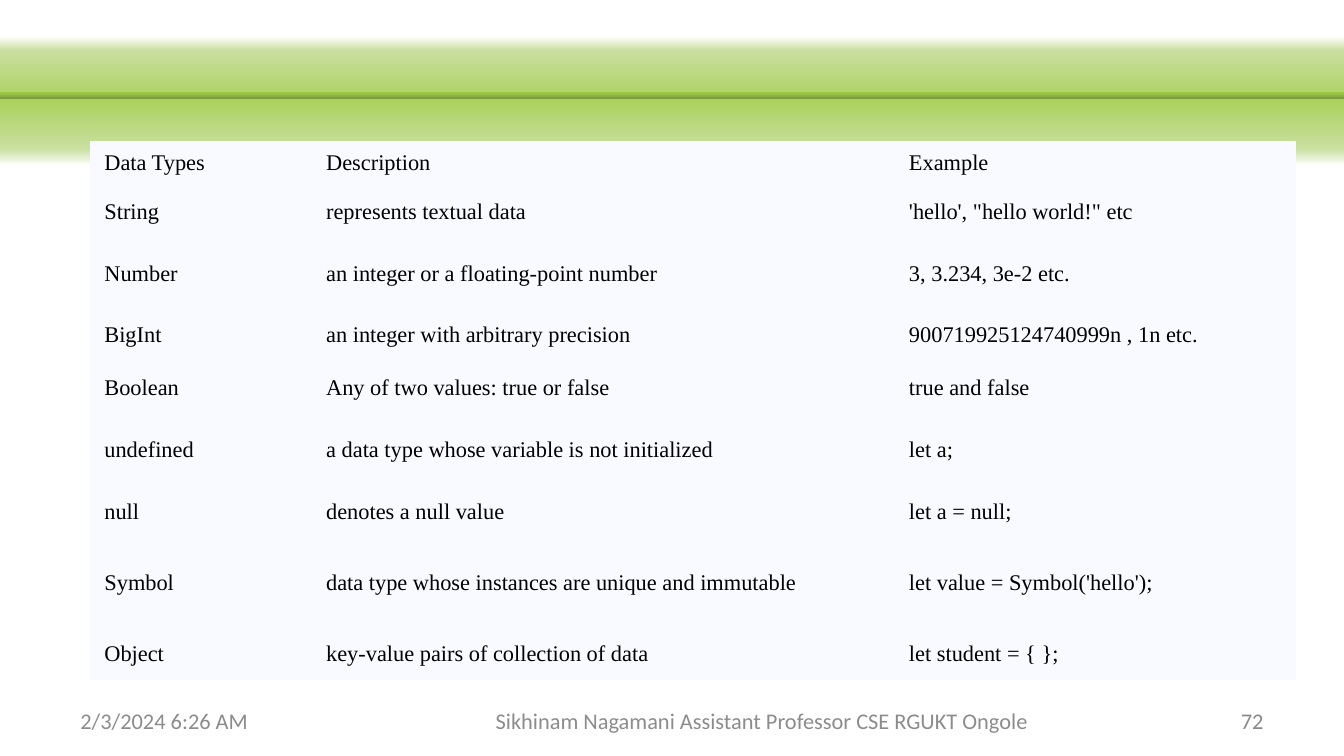
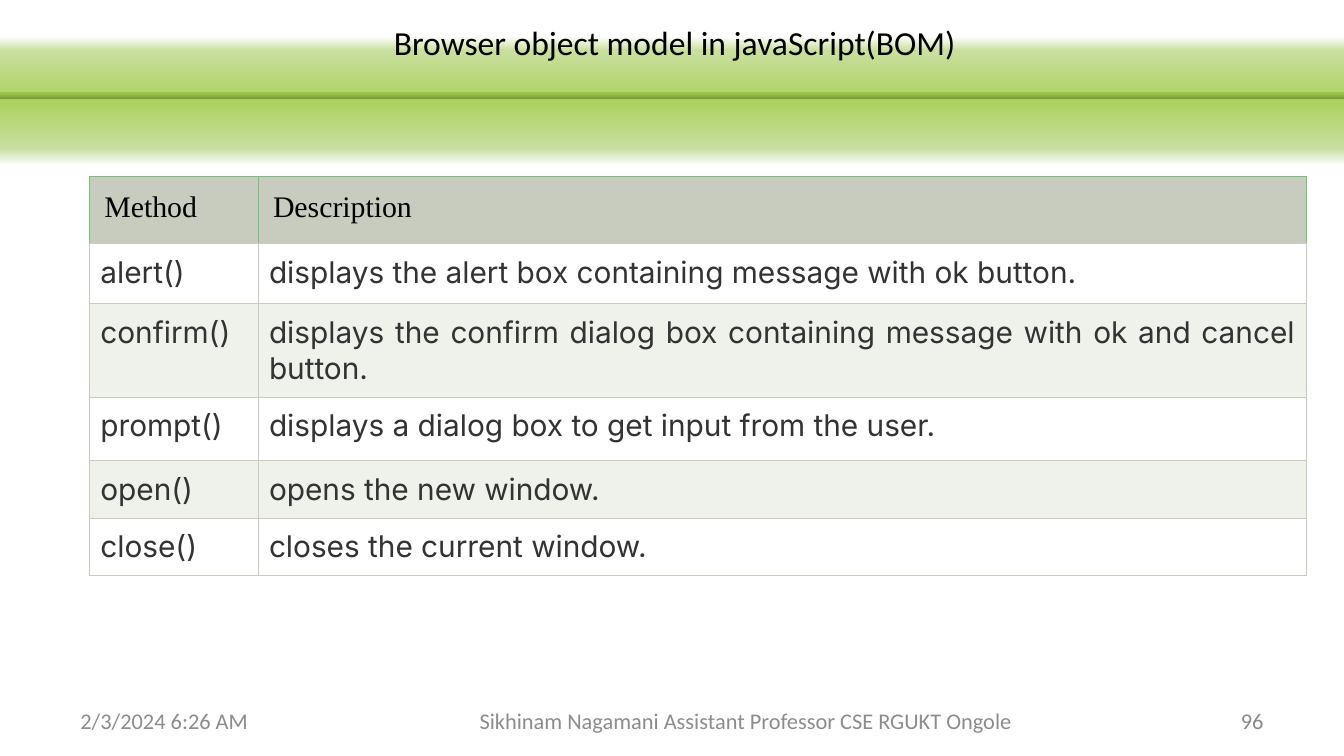
"""Build two JavaScript lecture slides: data types and browser object model methods."""
from dataclasses import dataclass
from typing import Optional

from lxml import etree
from pptx import Presentation
from pptx import util as u
from pptx.dml.color import RGBColor
from pptx.enum import shapes, text
from pptx.oxml import ns

WIDTH = u.Inches(10)
HEIGHT = WIDTH * 9 // 16
TITLE_ONLY, BLANK = 5, 6
NO_TABLE_STYLE = "{2D5ABB26-0587-4C30-8999-92F81FD0307C}"
COLORS = {
    "white": "FFFFFF", "black": "000000", "body": "333333",
    "footer": "8C8C8C", "number": "898989",
    "bar_dark": "779737", "bar_mid": "9BC348", "bar_light": "9DC746",
    "halo_pale": "C9DFA0", "halo_deep": "AED262",
    "data_fill": "F8FAFF", "head_fill": "C7CCBE", "band_fill": "EFF1EB",
    "rule": "C7CCBE", "head_rule": "70C477",
}


@dataclass(frozen=True)
class Area:
    """Position and size in percent of the slide's width and height."""
    left: float
    top: float
    width: float
    height: float

    def emu(self) -> tuple[int, int, int, int]:
        """Return left, top, width and height as lengths."""
        return across(self.left), down(self.top), across(self.width), down(self.height)


@dataclass(frozen=True)
class TextStyle:
    """Font and alignment of a paragraph."""
    font: str
    size: float
    color: str
    align: text.PP_ALIGN = text.PP_ALIGN.LEFT


@dataclass(frozen=True)
class RowStyle:
    """Look of the cells in one table row; borders run left, right, top, bottom."""
    words: TextStyle
    fill: str
    inset_x: float
    inset_y: float
    anchor: text.MSO_ANCHOR
    borders: tuple[str, ...] = ()


@dataclass(frozen=True)
class Grid:
    """A table with its columns and rows in percent of the slide."""
    left: float
    top: float
    columns: tuple[float, ...]
    rows: tuple[float, ...]
    cells: tuple[tuple[str, ...], ...]
    styles: tuple[RowStyle, ...]


@dataclass(frozen=True)
class Lesson:
    """Everything that differs between slides."""
    number: str
    grid: Grid
    footer_width: float
    title: Optional[str] = None


BAR = Area(0, 12.22, 100, 0.89)
HALO = Area(0, 4.8, 100, 17.1)
TITLE = Area(28.3, 1.96, 53.2, 7.11)
FOOT_TOP, FOOT_HEIGHT = 92.68, 5.33
DATE = "2/3/2024 6:26 AM"
LECTURER = "Sikhinam Nagamani Assistant Professor CSE RGUKT Ongole"

TITLE_STYLE = TextStyle("Calibri", 18, "black")
DATE_STYLE = TextStyle("Calibri", 12, "footer")
FOOTER_STYLE = TextStyle("Calibri", 12, "footer", text.PP_ALIGN.CENTER)
NUMBER_STYLE = TextStyle("Calibri", 12, "number", text.PP_ALIGN.RIGHT)
METHOD_STYLE = TextStyle("Inter", 16, "body", text.PP_ALIGN.JUSTIFY)

DATA_ROW = RowStyle(TextStyle("Times New Roman", 12, "black"), "data_fill",
                    0.11, 0.05, text.MSO_ANCHOR.MIDDLE)
HEAD_ROW = RowStyle(TextStyle("Times New Roman", 16, "black"), "head_fill", 0.11, 0.11,
                    text.MSO_ANCHOR.TOP, ("head_rule",) * 3 + ("rule",))
PLAIN_ROW, BAND_ROW = (
    RowStyle(METHOD_STYLE, fill, 0.08, 0.08, text.MSO_ANCHOR.TOP, ("rule",) * 4)
    for fill in ("white", "band_fill")
)

DATA_TYPES = (
    ("Data Types", "Description", "Example"),
    ("String", "represents textual data", "'hello', \"hello world!\" etc"),
    ("Number", "an integer or a floating-point number", "3, 3.234, 3e-2 etc."),
    ("BigInt", "an integer with arbitrary precision", "900719925124740999n , 1n etc."),
    ("Boolean", "Any of two values: true or false", "true and false"),
    ("undefined", "a data type whose variable is not initialized", "let a;"),
    ("null", "denotes a null value", "let a = null;"),
    ("Symbol", "data type whose instances are unique and immutable",
     "let value = Symbol('hello');"),
    ("Object", "key-value pairs of collection of data", "let student = { };"),
)
BOM_METHODS = (
    ("Method", "Description"),
    ("alert()", "displays the alert box containing message with ok button."),
    ("confirm()", "displays the confirm dialog box containing message with ok and cancel button."),
    ("prompt()", "displays a dialog box to get input from the user."),
    ("open()", "opens the new window."),
    ("close()", "closes the current window."),
)
LESSONS = (
    Lesson("72", Grid(6.67, 18.67, (16.5, 43.37, 29.9),
                      (5.87, 6.94, 9.43, 6.94, 6.94, 9.43, 6.94, 11.92, 6.94),
                      DATA_TYPES, (DATA_ROW,) * len(DATA_TYPES)), 45),
    Lesson("96", Grid(6.67, 23.33, (12.55, 78), (8.89, 7.95, 8.36, 8.36, 7.47, 7.47),
                      BOM_METHODS,
                      (HEAD_ROW, PLAIN_ROW, BAND_ROW, PLAIN_ROW, BAND_ROW, PLAIN_ROW)),
           42.6, "Browser object model in javaScript(BOM)"),
)


def across(percent: float) -> int:
    """Turn a share of the slide's width into a length."""
    return round(WIDTH * percent / 100)


def down(percent: float) -> int:
    """Turn a share of the slide's height into a length."""
    return round(HEIGHT * percent / 100)


def add_node(parent, tag: str, **attributes):
    """Append a drawing element to a parent."""
    values = {name: str(value) for name, value in attributes.items()}
    return etree.SubElement(parent, ns.qn(f"a:{tag}"), values)


def write(frame, words: str, style: TextStyle) -> None:
    """Fill a text frame with one styled paragraph."""
    frame.word_wrap = True
    para = frame.paragraphs[0]
    para.text = words
    para.alignment = style.align
    para.font.name = style.font
    para.font.size = u.Pt(style.size)
    para.font.bold = False
    para.font.color.rgb = RGBColor.from_string(COLORS[style.color])


def add_band(page, area: Area, stops: tuple[tuple[float, str], ...], angle: int) -> None:
    """Draw a full-width rectangle with a gradient of several stops."""
    band = page.shapes.add_shape(shapes.MSO_SHAPE.RECTANGLE, *area.emu())
    band.shadow.inherit = False
    band.line.fill.background()
    band.fill.gradient()
    band.fill.gradient_angle = 0
    gradient = band._element.spPr.find(ns.qn("a:gradFill"))
    stop_list = gradient.find(ns.qn("a:gsLst"))
    for old in list(stop_list):
        stop_list.remove(old)
    for position, color in stops:
        stop = add_node(stop_list, "gs", pos=round(position * 1000))
        add_node(stop, "srgbClr", val=COLORS[color])
    gradient.find(ns.qn("a:lin")).set("ang", str(angle * 60000))


def add_header(page) -> None:
    """Draw the soft green halo and the bar across it."""
    add_band(page, HALO, ((0, "white"), (11, "halo_pale"), (48, "halo_deep"),
                          (52, "halo_deep"), (87, "halo_pale"), (100, "white")), 90)
    add_band(page, BAR, ((0, "bar_dark"), (80, "bar_mid"), (100, "bar_light")), 270)


def add_footer(page, lesson: Lesson) -> None:
    """Write the date, lecturer and slide number."""
    for left, width, words, style in (
        (71.7, 23.3, lesson.number, NUMBER_STYLE),
        (5, 23.3, DATE, DATE_STYLE),
        (34.2, lesson.footer_width, LECTURER, FOOTER_STYLE),
    ):
        box = page.shapes.add_textbox(*Area(left, FOOT_TOP, width, FOOT_HEIGHT).emu())
        box.text_frame.vertical_anchor = text.MSO_ANCHOR.MIDDLE
        write(box.text_frame, words, style)


def format_cell(cell, words: str, style: RowStyle) -> None:
    """Write one cell and set its borders, fill and margins."""
    properties = cell._tc.get_or_add_tcPr()
    for side, color in zip("LRTB", style.borders):
        line = add_node(properties, f"ln{side}", w=u.Pt(0.75))
        add_node(add_node(line, "solidFill"), "srgbClr", val=COLORS[color])
    cell.fill.solid()
    cell.fill.fore_color.rgb = RGBColor.from_string(COLORS[style.fill])
    cell.margin_left = cell.margin_right = u.Inches(style.inset_x)
    cell.margin_top = cell.margin_bottom = u.Inches(style.inset_y)
    cell.vertical_anchor = style.anchor
    write(cell.text_frame, words, style.words)


def add_grid(page, grid: Grid) -> None:
    """Draw a table from its grid."""
    area = Area(grid.left, grid.top, sum(grid.columns), sum(grid.rows))
    table = page.shapes.add_table(len(grid.rows), len(grid.columns), *area.emu()).table
    table.first_row = table.horz_banding = False
    table._tbl.tblPr.find(ns.qn("a:tableStyleId")).text = NO_TABLE_STYLE
    for column, width in zip(table.columns, grid.columns):
        column.width = across(width)
    for row, height, words, style in zip(table.rows, grid.rows, grid.cells, grid.styles):
        row.height = down(height)
        for cell, entry in zip(row.cells, words):
            format_cell(cell, entry, style)


def add_title(page, words: str) -> None:
    """Place and format the title placeholder."""
    title = page.shapes.title
    title.left, title.top, title.width, title.height = TITLE.emu()
    title.text_frame.vertical_anchor = text.MSO_ANCHOR.TOP
    title.text_frame.auto_size = text.MSO_AUTO_SIZE.SHAPE_TO_FIT_TEXT
    write(title.text_frame, words, TITLE_STYLE)
    page.shapes._spTree.append(title._element)


def add_lesson(deck, lesson: Lesson) -> None:
    """Add one complete slide."""
    layout = deck.slide_layouts[TITLE_ONLY if lesson.title else BLANK]
    page = deck.slides.add_slide(layout)
    add_header(page)
    add_grid(page, lesson.grid)
    if lesson.title:
        add_title(page, lesson.title)
    add_footer(page, lesson)


def main() -> None:
    """Build and save the deck."""
    deck = Presentation()
    deck.slide_width, deck.slide_height = WIDTH, HEIGHT
    for lesson in LESSONS:
        add_lesson(deck, lesson)
    deck.save("out.pptx")


if __name__ == "__main__":
    main()
